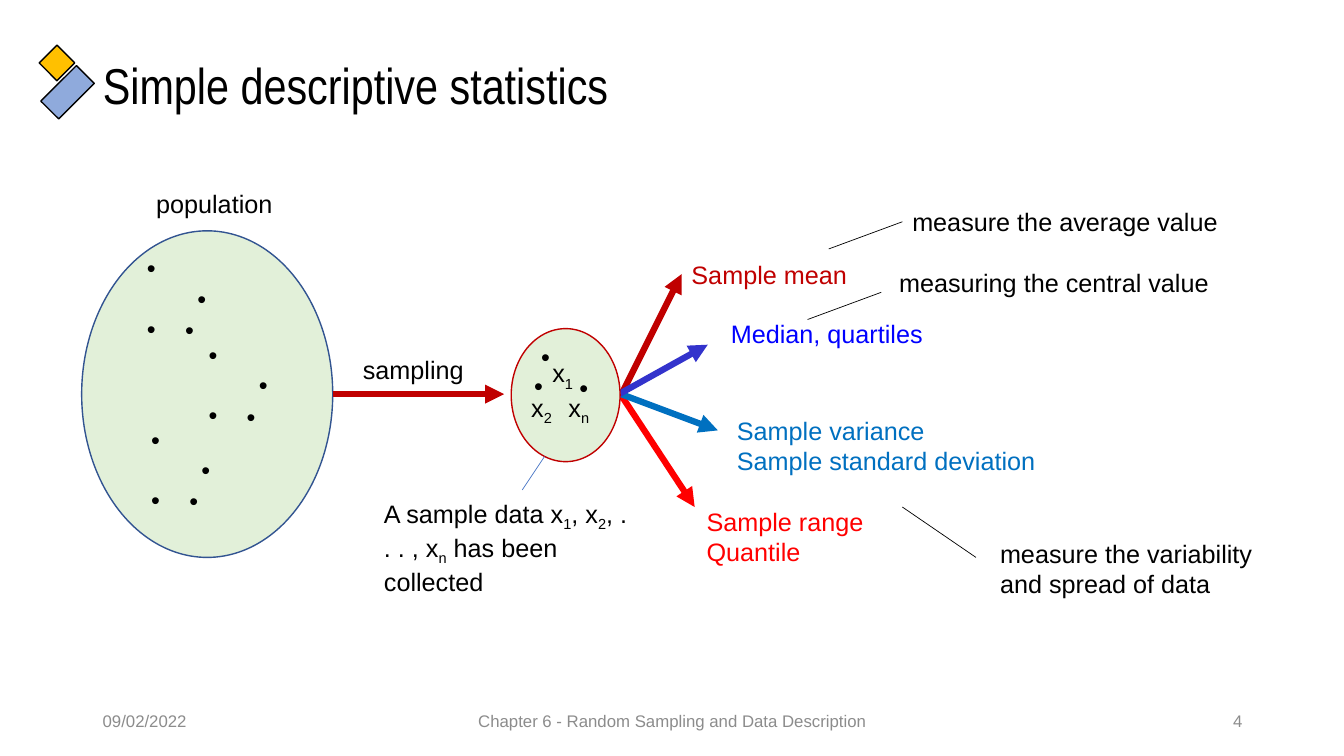
"""Build the slide on simple descriptive statistics."""
from lxml import etree
from pptx import Presentation
from pptx.dml.color import RGBColor
from pptx.enum.shapes import MSO_CONNECTOR, MSO_SHAPE
from pptx.enum.text import MSO_ANCHOR, PP_ALIGN
from pptx.oxml.ns import qn
from pptx.util import Inches, Pt

STRAIGHT = MSO_CONNECTOR.STRAIGHT
RECTANGLE, OVAL = MSO_SHAPE.RECTANGLE, MSO_SHAPE.OVAL
TOP, MIDDLE = MSO_ANCHOR.TOP, MSO_ANCHOR.MIDDLE
LEFT, CENTER, RIGHT = PP_ALIGN.LEFT, PP_ALIGN.CENTER, PP_ALIGN.RIGHT

COLORS = {
    "black": "000000", "gray": "8C8C8C", "gold": "FFC000", "periwinkle": "8FAADC",
    "pale green": "E2F0D9", "navy": "325491", "dark red": "C00000", "red": "FF0000",
    "blue": "0070C0", "indigo": "3333CC", "bright blue": "0000FF", "accent": "4472C4",
}

TITLE = "Simple descriptive statistics"
ORNAMENTS = [
    ((0.42, 0.79, 0.5, 0.25), 135, "periwinkle"),
    ((0.44, 0.5, 0.25, 0.25), 45, "gold"),
]
OVALS = [
    ((0.81, 2.29, 2.49, 3.24), "navy"),
    ((5.07, 3.26, 1.08, 1.32), "dark red"),
]
STATISTIC_ARROWS = [
    ((6.16, 3.92), (6.76, 2.72), "dark red"),
    ((6.16, 3.92), (6.89, 5.03), "red"),
    ((6.16, 3.91), (7.12, 4.27), "blue"),
    ((6.14, 3.91), (7.02, 3.42), "indigo"),
]
SAMPLING_ARROW = ((3.3, 3.91), (5, 3.91), "dark red")
CALLOUT_LINES = [
    ((8.22, 2.47), (8.95, 2.2), "black"),
    ((8.01, 3.17), (8.74, 2.9), "black"),
    ((8.95, 5.03), (9.68, 5.53), "black"),
    ((5.4, 4.53), (5.18, 4.86), "accent"),
]
# Text between tildes is subscript.
LABELS = [
    ((6.76, 2.52, 1.83, 0.4), ["Sample mean"], "dark red"),
    ((7.21, 4.07, 3.19, 0.71), ["Sample variance", "Sample standard deviation"], "blue"),
    ((6.91, 4.97, 1.77, 0.71), ["Sample range", "Quantile"], "red"),
    ((7.15, 3.11, 2.12, 0.4), ["Median, quartiles"], "bright blue"),
    ((3.5, 3.47, 1.21, 0.4), ["sampling"], "black"),
    ((8.95, 2, 3.26, 0.4), ["measure the average value"], "black"),
    ((8.82, 2.6, 3.3, 0.4), ["measuring the central value"], "black"),
    ((9.82, 5.29, 2.79, 0.71), ["measure the variability and spread of data"], "black"),
    ((3.71, 4.89, 2.64, 1.01),
     ["A sample data x~1~, x~2~, . . . , x~n~ has been collected"], "black"),
    ((1.45, 1.82, 2.37, 0.4), ["population"], "black"),
]
SAMPLE_VALUES = ((5.17, 3.5, 0.83, 0.71), ["x~1~", "x~2~\tx~n~"])
SAMPLE_DOTS = ((5.2, 3.34, 0.77, 0.71), [" •", " •"])
POPULATION_DOTS = [" ", " ", " •"]
POPULATION_CLUSTERS = [(1.36, 2.47), (1.4, 4.17), (1.97, 3.33)]
FOOTERS = [
    (4.42, 4.5, "Chapter 6 - Random Sampling and Data Description", CENTER),
    (9.42, 3, "4", RIGHT),
    (0.92, 3, "09/02/2022", LEFT),
]


def color(name):
    return RGBColor.from_string(COLORS[name])


def add_outline(slide, kind, box, fill, line, rotation=0):
    shape = slide.shapes.add_shape(kind, *map(Inches, box))
    shape.shadow.inherit = False
    shape.rotation = rotation
    shape.fill.solid()
    shape.fill.fore_color.rgb = color(fill)
    shape.line.color.rgb = color(line)
    shape.line.width = Pt(1)


def add_line(slide, start, end, line, width, arrow=False):
    connector = slide.shapes.add_connector(STRAIGHT, *map(Inches, (*start, *end)))
    connector.line.color.rgb = color(line)
    connector.line.width = Pt(width)
    if arrow:
        etree.SubElement(connector.line._get_or_add_ln(), qn("a:tailEnd"), type="triangle")
    etree.SubElement(connector._element.spPr, qn("a:effectLst"))


def add_text(slide, box, lines, ink="black", size=18, align=LEFT, anchor=TOP):
    text_frame = slide.shapes.add_textbox(*map(Inches, box)).text_frame
    text_frame.word_wrap = True
    text_frame.vertical_anchor = anchor
    for index, line in enumerate(lines):
        paragraph = text_frame.add_paragraph() if index else text_frame.paragraphs[0]
        paragraph.alignment = align
        paragraph.font.name = "Arial"
        paragraph.font.size = Pt(size)
        paragraph.font.color.rgb = color(ink)
        for position, part in enumerate(line.split("~")):
            if part:
                run = paragraph.add_run()
                run.text = part
                run.font.name = "Arial"
                run.font.size = Pt(size)
                run.font.color.rgb = color(ink)
                if position % 2:
                    run._r.get_or_add_rPr().set("baseline", "-25000")
    return text_frame.paragraphs


def indent(paragraph, margin, hanging=0.0):
    properties = paragraph._p.get_or_add_pPr()
    properties.set("marL", str(Inches(margin)))
    properties.set("indent", str(Inches(-hanging)))
    return properties


def add_bullet(paragraph, margin, hanging=0.31):
    properties = indent(paragraph, margin, hanging)
    etree.SubElement(properties, qn("a:buFont"), typeface="Arial")
    etree.SubElement(properties, qn("a:buChar"), char="•")


def add_title(slide):
    title = slide.shapes.title
    title.left, title.top, title.width, title.height = map(Inches, (0.92, 0.15, 11.5, 1.45))
    title.text_frame.text = TITLE
    title.text_frame.vertical_anchor = MIDDLE
    paragraph = title.text_frame.paragraphs[0]
    paragraph.alignment = LEFT
    paragraph.line_spacing = 0.9
    paragraph.font.name = "Arial Narrow"
    paragraph.font.size = Pt(36)
    paragraph.font.color.rgb = color("black")


def add_dots(slide):
    dots = add_text(slide, *SAMPLE_DOTS)
    add_bullet(dots[1], 0.38, 0.38)
    for left, top in POPULATION_CLUSTERS:
        dots = add_text(slide, (left, top, 1.16, 1.01), POPULATION_DOTS)
        for paragraph, margin in zip(dots, (0.31, 0.81, 0.31)):
            add_bullet(paragraph, margin)


def add_sample_values(slide):
    first, second = add_text(slide, *SAMPLE_VALUES)
    indent(first, 0.21)
    tabs = etree.SubElement(second._p.get_or_add_pPr(), qn("a:tabLst"))
    etree.SubElement(tabs, qn("a:tab"), pos=str(Inches(0.37)), algn="l")


def main():
    presentation = Presentation()
    presentation.slide_width, presentation.slide_height = Inches(13.33), Inches(7.5)
    slide = presentation.slides.add_slide(presentation.slide_layouts[5])
    add_title(slide)
    for box, rotation, fill in ORNAMENTS:
        add_outline(slide, RECTANGLE, box, fill, "black", rotation)
    for arrow in STATISTIC_ARROWS:
        add_line(slide, *arrow, 4.5, arrow=True)
    for box, line in OVALS:
        add_outline(slide, OVAL, box, "pale green", line)
    add_line(slide, *SAMPLING_ARROW, 4.5, arrow=True)
    add_sample_values(slide)
    add_dots(slide)
    for label in LABELS:
        add_text(slide, *label)
    for callout in CALLOUT_LINES:
        add_line(slide, *callout, 0.5)
    for left, width, text, align in FOOTERS:
        add_text(slide, (left, 6.95, width, 0.4), [text], "gray", 12, align, MIDDLE)
    presentation.save("out.pptx")


if __name__ == "__main__":
    main()
